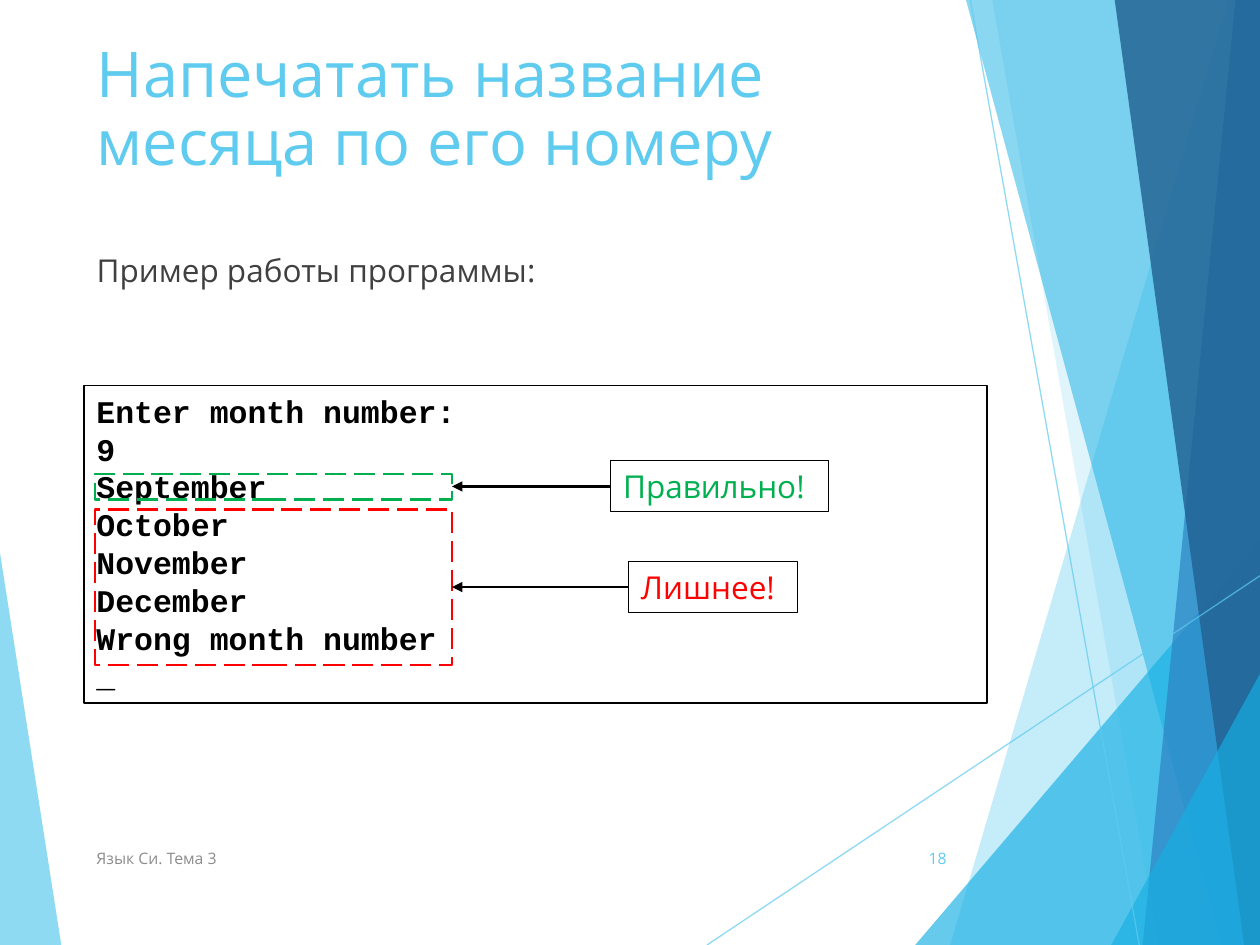
import pptx
import pptx.util
import pptx.dml.color
import pptx.enum.dml
import pptx.enum.shapes
import pptx.enum.text
import pptx.oxml
import pptx.oxml.ns

Pt = pptx.util.Pt
RGBColor = pptx.dml.color.RGBColor
ANCHOR = pptx.enum.text.MSO_ANCHOR
ALIGN = pptx.enum.text.PP_ALIGN
RECTANGLE = pptx.enum.shapes.MSO_SHAPE.RECTANGLE

SKY = RGBColor(0x5F, 0xCB, 0xEF)
CYAN = RGBColor(0x17, 0xB0, 0xE4)
BLUE = RGBColor(0x2E, 0x83, 0xC3)
NAVY = RGBColor(0x22, 0x62, 0x92)
DARK = RGBColor(0x40, 0x40, 0x40)
GRAY = RGBColor(0x8C, 0x8C, 0x8C)
BLACK = RGBColor(0, 0, 0)
GREEN = RGBColor(0, 0xB0, 0x50)
RED = RGBColor(0xFF, 0, 0)
WIDTH, HEIGHT = 720, 540


def add_element(parent, tag, **attributes):
    element = pptx.oxml.parse_xml(f"<a:{tag} {pptx.oxml.ns.nsdecls('a')}/>")
    for name, value in attributes.items():
        element.set(name, str(value))
    parent.append(element)


def write(shape, lines, size, color, font="Open Sans", bold=False, anchor=ANCHOR.TOP):
    frame = shape.text_frame
    frame.word_wrap = True
    frame.vertical_anchor = anchor
    for index, line in enumerate(lines):
        paragraph = frame.add_paragraph() if index else frame.paragraphs[0]
        paragraph.alignment = ALIGN.LEFT
        run = paragraph.add_run()
        run.text = line
        run.font.size = Pt(size)
        run.font.name = font
        run.font.bold = bold
        run.font.color.rgb = color
    return frame.paragraphs


presentation = pptx.Presentation()
presentation.slide_width, presentation.slide_height = Pt(WIDTH), Pt(HEIGHT)
slide = presentation.slides.add_slide(presentation.slide_layouts[1])
shapes = slide.shapes

# Translucent facets: colour, opacity in percent, corners
RIGHT_EDGE = [(WIDTH, HEIGHT), (WIDTH, 0)]
facets = [
    (SKY, 70, [(0, 316), (35, HEIGHT), (0, HEIGHT)]),
    (SKY, 36, [(702, 0), (543, HEIGHT)] + RIGHT_EDGE),
    (SKY, 20, [(567, 0), (662, HEIGHT)] + RIGHT_EDGE),
    (CYAN, 66, [(523, HEIGHT), (WIDTH, 309), (WIDTH, HEIGHT)]),
    (CYAN, 50, [(552, 0), (698, HEIGHT)] + RIGHT_EDGE),
    (BLUE, 70, [(706, 0), (653, HEIGHT)] + RIGHT_EDGE),
    (NAVY, 82, [(637, 0), (711, HEIGHT)] + RIGHT_EDGE),
    (CYAN, 66, [(635, HEIGHT), (WIDTH, 385), (WIDTH, HEIGHT)]),
]
for color, opacity, corners in facets:
    points = [(Pt(x), Pt(y)) for x, y in corners]
    builder = shapes.build_freeform(*points[0])
    builder.add_line_segments(points[1:], close=True)
    facet = builder.convert_to_shape()
    facet.shadow.inherit = False
    facet.line.fill.background()
    facet.fill.solid()
    facet.fill.fore_color.rgb = color
    add_element(facet.fill._xPr.solidFill[0], "alpha", val=opacity * 1000)

# Title and body
title = shapes.title
title.left, title.top, title.width, title.height = Pt(48), Pt(21), Pt(500), Pt(104)
write(title, ["Напечатать название месяца по его номеру"], 36, SKY)[0].line_spacing = 0.9

body = slide.placeholders[1]
body.left, body.top, body.width, body.height = Pt(48), Pt(140), Pt(500), Pt(55)
intro = write(body, ["Пример работы программы:"], 18, DARK)[0]
intro.space_before = Pt(10)
intro_properties = intro._p.get_or_add_pPr()
intro_properties.set("marL", "0")
intro_properties.set("indent", "0")
add_element(intro_properties, "buNone")

# Footer and slide number
for text, left, width, color, alignment in [
    ("Язык Си. Тема 3", 48, 364, GRAY, ALIGN.LEFT),
    ("18", 507.5, 40.5, SKY, ALIGN.RIGHT),
]:
    footer = shapes.add_textbox(Pt(left), Pt(476), Pt(width), Pt(28.8))
    write(footer, [text], 9, color, anchor=ANCHOR.MIDDLE)[0].alignment = alignment

# Boxes: place, line colour and width, dashed, lines of text with their style
program_output = ["Enter month number:", "9", "September", "October", "November",
                  "December", "Wrong month number", "_"]
code_style = dict(size=18, color=BLACK, font="Courier New", bold=True)
boxes = [
    ((48, 220.3, 516, 181.5), BLACK, 0.75, False, program_output, code_style),
    ((349, 263.2, 124.5, 29), BLACK, 0.75, False, ["Правильно!"],
     dict(size=18, color=GREEN, anchor=ANCHOR.MIDDLE)),
    ((359.2, 321, 96.5, 29), BLACK, 0.75, False, ["Лишнее!"],
     dict(size=18, color=RED, anchor=ANCHOR.MIDDLE)),
    ((54.3, 291, 204, 89), RED, 1.5, True, [], {}),
    ((54.3, 270.8, 204, 14.5), GREEN, 1.5, True, [], {}),
]
for place, line_color, line_width, dashed, lines, style in boxes:
    box = shapes.add_shape(RECTANGLE, *[Pt(value) for value in place])
    box.shadow.inherit = False
    box.fill.background()
    box.line.color.rgb = line_color
    box.line.width = Pt(line_width)
    if dashed:
        box.line.dash_style = pptx.enum.dml.MSO_LINE.LONG_DASH
    if lines:
        paragraphs = write(box, lines, **style)
        for paragraph in paragraphs[:len(lines) if len(lines) > 1 else 0]:
            paragraph.line_spacing = Pt(21.6)

# Decorative lines and arrows: ends, colour, width, opacity, arrowhead
connectors = [
    ((404, 540, 720, 329), SKY, 0.75, 70, False),
    ((554.5, 0, 651, 540), SKY, 0.75, 70, False),
    ((359.2, 335.5, 258.3, 335.5), BLACK, 1.5, 100, True),
    ((349, 278, 258.3, 278), BLACK, 1.5, 100, True),
]
for ends, color, width, opacity, arrow in connectors:
    connector = shapes.add_connector(
        pptx.enum.shapes.MSO_CONNECTOR.STRAIGHT, *[Pt(value) for value in ends])
    connector.line.color.rgb = color
    connector.line.width = Pt(width)
    outline = connector.line._get_or_add_ln()
    if opacity < 100:
        add_element(outline.solidFill[0], "alpha", val=opacity * 1000)
    if arrow:
        add_element(outline, "tailEnd", type="triangle")
    add_element(connector._element.spPr, "effectLst")

presentation.save("out.pptx")
